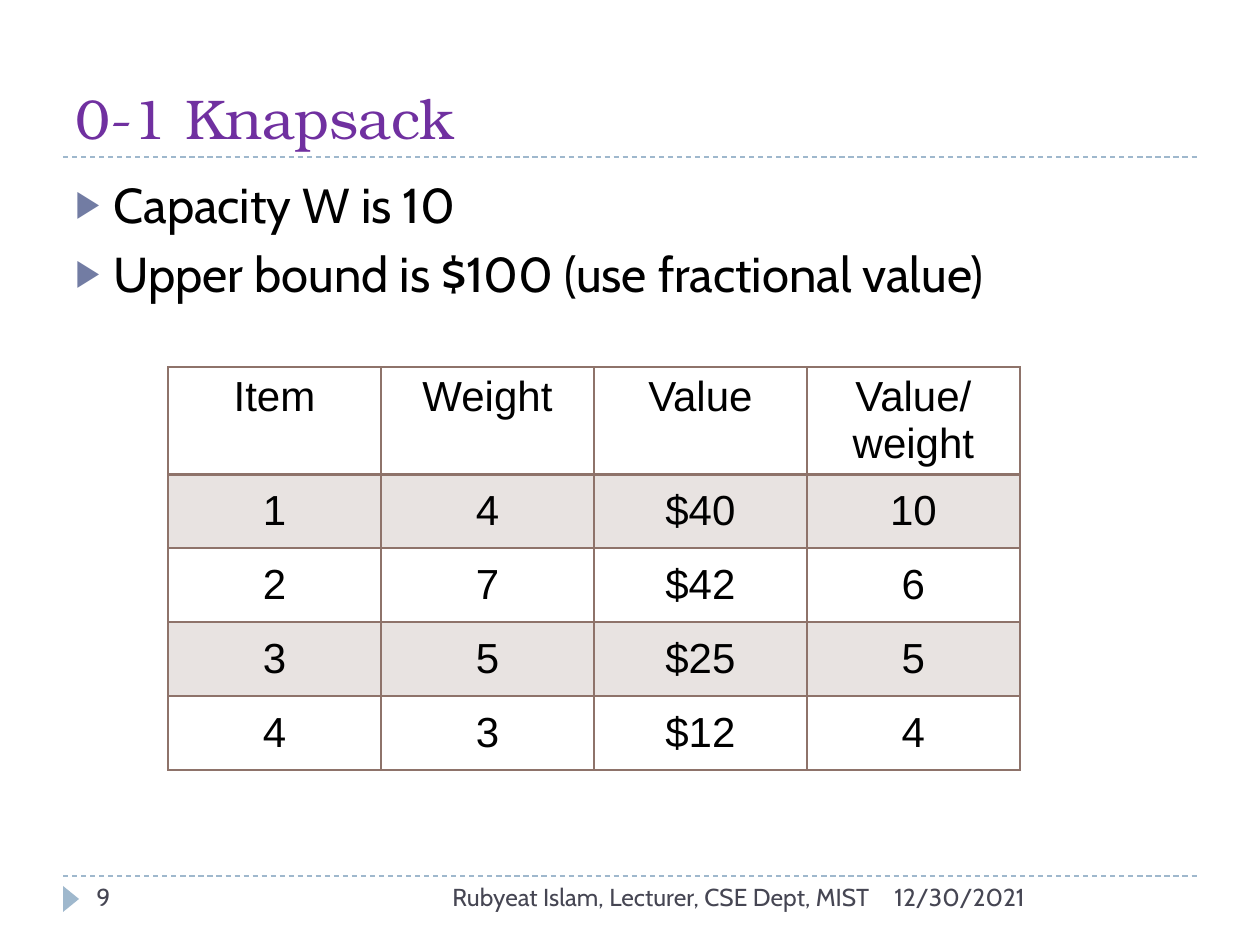
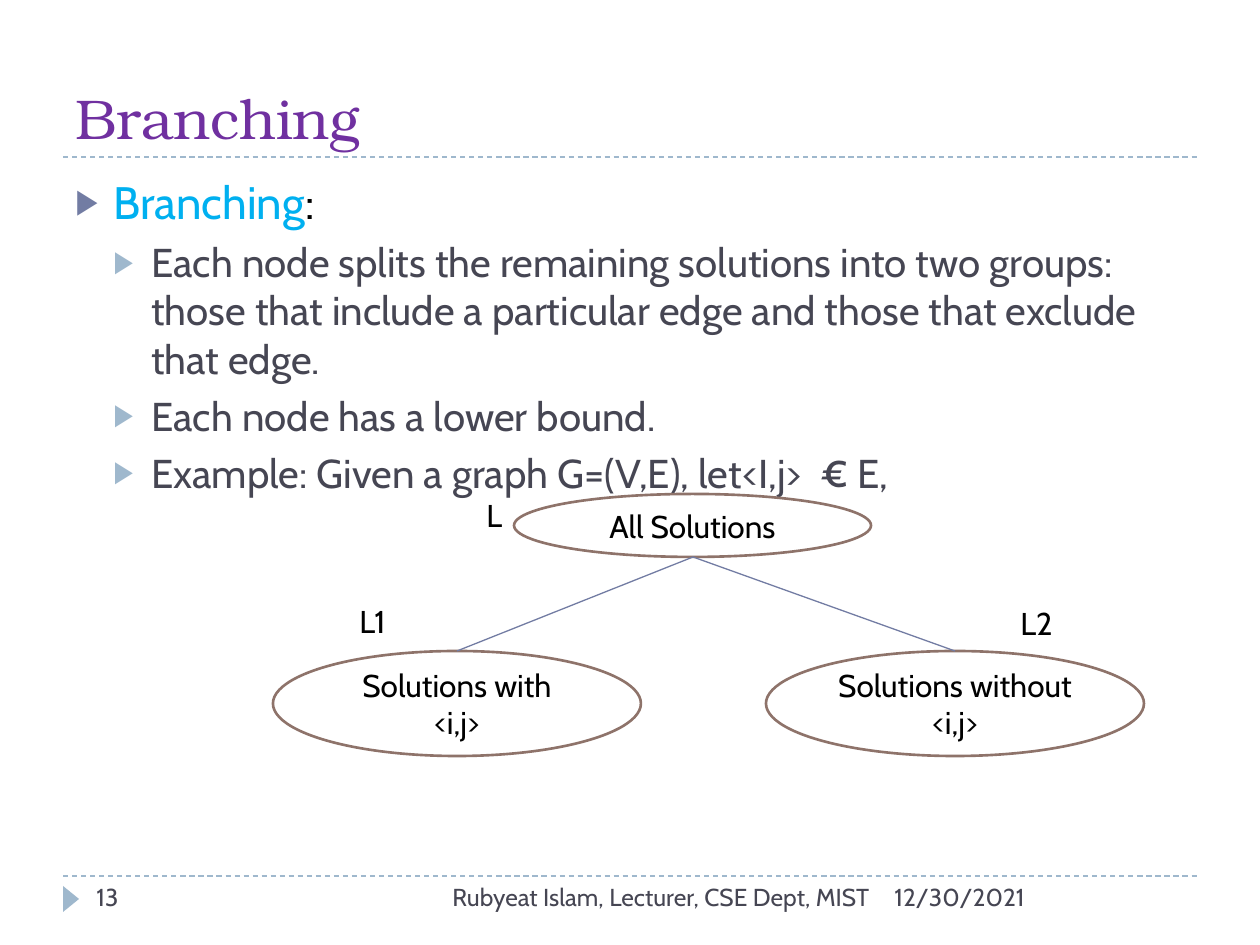
from pptx import Presentation
from pptx.dml.color import RGBColor
from pptx.enum.dml import MSO_LINE as Dash
from pptx.enum.shapes import MSO_CONNECTOR as Link, MSO_SHAPE as Kind
from pptx.enum.text import MSO_ANCHOR as Anchor, PP_ALIGN as Align
from pptx.oxml.ns import qn
from pptx.util import Pt
from lxml.etree import SubElement as Sub, Element

SCALE = 914400 / 126
HEX = {
    "title": "7030A0", "text": "000000", "muted": "464653",
    "accent": "00B0F0", "slate": "727CA3", "mist": "9FB8CD",
    "brown": "8E736A", "band": "E8E3E1", "white": "FFFFFF",
}
SANS, SERIF, GRID = "Cabin", "TeX Gyre Bonum", "Arial"
FOOT = "Rubyeat Islam, Lecturer, CSE Dept, MIST"
DATE = "12/30/2021"
PAGE = (1260, 945)
TITLE = (63, 21, 1134, 136)
BODY = (63, 168, 1134, 680)
FOOTER = (63, 876, 1134, 50)
# Bullet levels: text colour, bullet colour, left indent, space before
LEVELS = [("text", "slate", 38, 6), ("muted", "mist", 76, 5)]


def emu(px):
    return round(px * SCALE)


def rgb(name):
    return RGBColor.from_string(HEX[name])


def style(par, size, color, face=SANS, align=Align.LEFT):
    par.alignment = align
    par.font.size = Pt(size)
    par.font.name = face
    par.font.color.rgb = rgb(color)


def label(slide, box, text, size, color="text", face=SANS,
          align=Align.LEFT, anchor=Anchor.TOP):
    frame = slide.shapes.add_textbox(*map(emu, box)).text_frame
    frame.word_wrap = True
    frame.vertical_anchor = anchor
    frame.text = text
    style(frame.paragraphs[0], size, color, face, align)


def line(slide, start, end, color, dash=None):
    link = slide.shapes.add_connector(Link.STRAIGHT, *map(emu, start + end))
    link.line.color.rgb = rgb(color)
    link.line.width = Pt(0.75)
    if dash:
        link.line.dash_style = dash
    Sub(link._element.spPr, qn("a:effectLst"))
    return link


def shape(slide, kind, box, fill, edge=None):
    item = slide.shapes.add_shape(kind, *map(emu, box))
    item.shadow.inherit = False
    item.fill.solid()
    item.fill.fore_color.rgb = rgb(fill)
    if edge:
        item.line.color.rgb = rgb(edge)
        item.line.width = Pt(1.5)
    else:
        item.line.fill.background()
    return item


def footer(slide, box, number):
    x, y, w, h = box
    line(slide, (x, y), (x + w, y), "mist", Dash.DASH)
    mark = shape(slide, Kind.ISOSCELES_TRIANGLE, (x - 5, y + 15, 26, 16), "mist")
    mark.rotation = 90
    label(slide, (x + 819, y, 315, h), DATE, 14, "muted")
    label(slide, (x + 336, y, 483, h), FOOT, 14, "muted", align=Align.RIGHT)
    label(slide, (x + 21, y, 273, h), str(number), 14, "muted")


def base(deck, title, number):
    """Add a slide with its title, rule and footer."""
    slide = deck.slides.add_slide(deck.slide_layouts[6])
    x, y, w, h = TITLE
    line(slide, (x, y + h), (x + w, y + h), "mist", Dash.DASH)
    label(slide, TITLE, title, 32, "title", SERIF, anchor=Anchor.BOTTOM)
    footer(slide, FOOTER, number)
    return slide


def bullet(par, color, indent):
    props = par._p.get_or_add_pPr()
    props.set("marL", str(emu(indent)))
    props.set("indent", str(-emu(38)))
    Sub(Sub(props, qn("a:buClr")), qn("a:srgbClr"), val=HEX[color])
    Sub(props, qn("a:buSzPct"), val="76000")
    Sub(props, qn("a:buFont"), typeface=GRID)
    Sub(props, qn("a:buChar"), char="▶")


def body(slide, box, items):
    """Fill box with bullets given as (level, size, text) and return them."""
    frame = slide.shapes.add_textbox(*map(emu, box)).text_frame
    frame.word_wrap = True
    for i, (level, size, text) in enumerate(items):
        par = frame.paragraphs[0] if i == 0 else frame.add_paragraph()
        color, mark, indent, gap = LEVELS[level]
        par.level = level
        par.add_run().text = text
        style(par, size, color)
        par.space_before = Pt(gap)
        bullet(par, mark, indent)
    return frame.paragraphs


def border(cell, sides):
    """Draw cell borders; sides maps L, R, T, B to points, in that order."""
    props = cell._tc.get_or_add_tcPr()
    for i, (side, width) in enumerate(sides.items()):
        edge = Element(qn(f"a:ln{side}"), w=str(Pt(width)))
        Sub(Sub(edge, qn("a:solidFill")), qn("a:srgbClr"), val=HEX["brown"])
        props.insert(i, edge)


def grid(slide, box, rows, head):
    x, y, w, h = box
    table = slide.shapes.add_table(len(rows), len(rows[0]), *map(emu, box)).table
    for col in table.columns:
        col.width = emu(w / len(rows[0]))
    for r, row in enumerate(rows):
        table.rows[r].height = emu((h - head) / (len(rows) - 1) if r else head)
        for c, text in enumerate(row):
            cell = table.cell(r, c)
            cell.text = text
            cell.vertical_anchor = Anchor.MIDDLE if r else Anchor.TOP
            if r == 0:
                cell.margin_bottom = 0
            style(cell.text_frame.paragraphs[0], 24, "text", GRID, Align.CENTER)
            if r % 2:
                cell.fill.solid()
                cell.fill.fore_color.rgb = rgb("band")
            else:
                cell.fill.background()
            border(cell, {"L": 1, "R": 1, "T": 2 if r == 1 else 1,
                          "B": 1 if r else 2})


def node(slide, box, text):
    item = shape(slide, Kind.OVAL, box, "white", "brown")
    frame = item.text_frame
    frame.word_wrap = True
    frame.vertical_anchor = Anchor.MIDDLE
    frame.text = text
    style(frame.paragraphs[0], 18, "text", align=Align.CENTER)
    return item


def tree(slide, box):
    x, y, w, h = box
    node(slide, (x + 241, y, 357, 63), "All Solutions")
    kids = [
        node(slide, (x, y + h - 105, 368, 105), "Solutions with <i,j>"),
        node(slide, (x + w - 378, y + h - 105, 378, 105), "Solutions without <i,j>"),
    ]
    root = (x + 420, y + 63)
    for kid in kids:
        line(slide, root, root, "slate").end_connect(kid, 0)
    for dx, dy, text in [(201, -4, "L"), (74, 102, "L1"), (735, 104, "L2")]:
        label(slide, (x + dx, y + dy, 75, 50), text, 18)


def knapsack(deck):
    slide = base(deck, "0-1 Knapsack", 9)
    body(slide, BODY, [
        (0, 28, "Capacity W is 10"),
        (0, 28, "Upper bound is $100 (use fractional value)"),
    ])
    grid(slide, (168, 367, 852, 402), [
        ("Item", "Weight", "Value", "Value/weight"),
        ("1", "4", "$40", "10"),
        ("2", "7", "$42", "6"),
        ("3", "5", "$25", "5"),
        ("4", "3", "$12", "4"),
    ], head=106)


def branching(deck):
    slide = base(deck, "Branching", 13)
    pars = body(slide, BODY, [
        (0, 26, "Branching"),
        (1, 23, "Each node splits the remaining solutions into two groups: those "
                "that include a particular edge and those that exclude that edge."),
        (1, 23, "Each node has a lower bound."),
        (1, 23, "Example: Given a graph G=(V,E), let<I,j>  € E,"),
    ])
    pars[0].runs[0].font.color.rgb = rgb("accent")
    pars[0].add_run().text = ":"
    tree(slide, (273, 494, 871, 262))


def main():
    deck = Presentation()
    deck.slide_width, deck.slide_height = map(emu, PAGE)
    knapsack(deck)
    branching(deck)
    deck.save("out.pptx")


if __name__ == "__main__":
    main()
